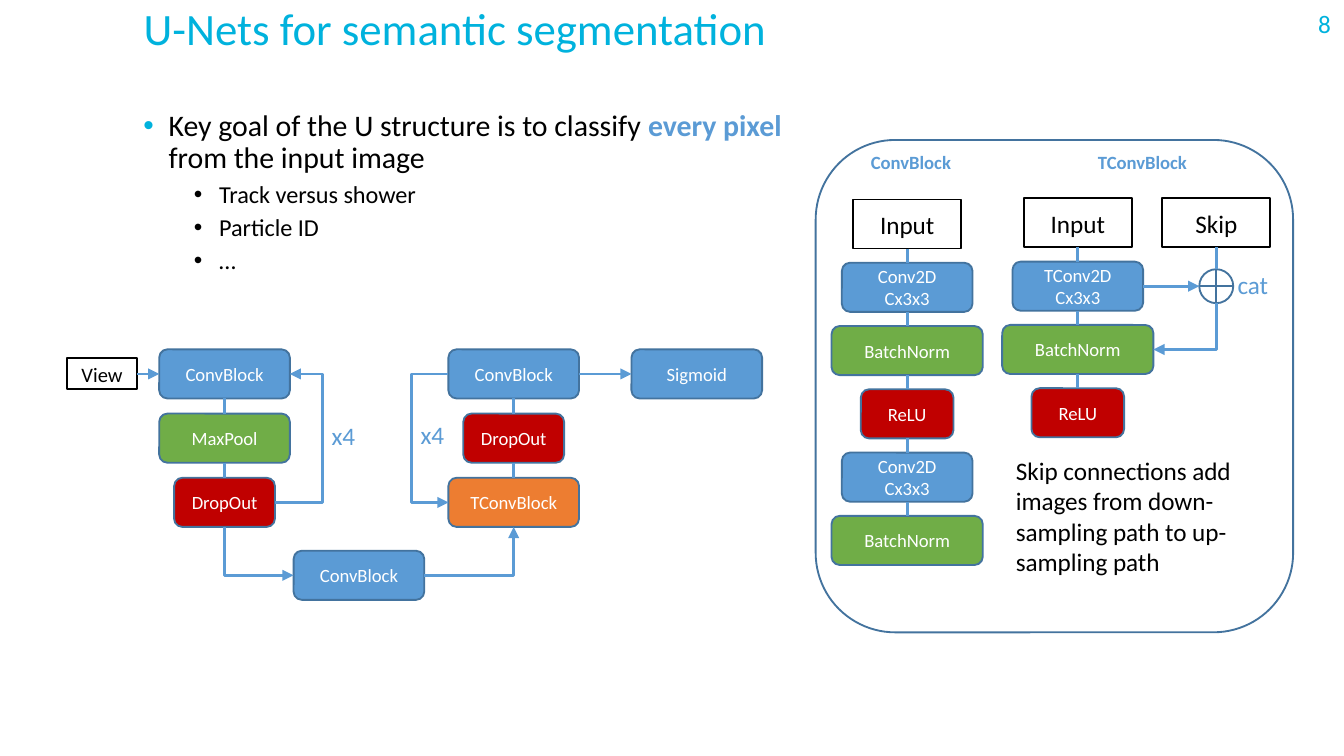
"""Build the U-Net semantic segmentation slide."""
from dataclasses import dataclass
from typing import Optional

from lxml.etree import SubElement
from pptx import Presentation
from pptx.dml.color import RGBColor
from pptx.enum.shapes import MSO_CONNECTOR, MSO_SHAPE
from pptx.enum.text import MSO_ANCHOR, MSO_AUTO_SIZE, PP_ALIGN
from pptx.oxml.ns import qn
from pptx.util import Pt

COLORS = {"title": "00B2DD", "blue": "5B9BD5", "outline": "43739E", "green": "70AD47",
          "red": "C00000", "orange": "ED7D31", "black": "000000", "white": "FFFFFF"}
FONT = "Calibri"
BLOCK_H = 26.3
TOP, LEFT, BOTTOM, RIGHT = range(4)


@dataclass
class Block:
    text: str
    width: float
    fill: Optional[str] = None
    size: float = 10
    height: float = BLOCK_H


@dataclass
class Note:
    text: str
    x: float
    y: float
    w: float
    h: float
    color: str = "blue"
    size: float = 13.5
    bold: bool = False
    align: PP_ALIGN = PP_ALIGN.LEFT
    wrap: bool = False


CONV = Block("ConvBlock", 70, "blue")
DROP = Block("DropOut", 54, "red")
CONV2D = Block("Conv2D\nCx3x3", 70, "blue")
NORM = Block("BatchNorm", 81, "green")
RELU = Block("ReLU", 49.6, "red")
INPUT = Block("Input", 57.8, size=13.5)

NOTES = [
    Note("8", 688.3, 0.7, 31.7, 23.8, "title", align=PP_ALIGN.RIGHT),
    Note("ConvBlock", 438, 77.1, 100, 19.4, size=10, bold=True, align=PP_ALIGN.CENTER),
    Note("TConvBlock", 562, 77.1, 100, 19.4, size=10, bold=True, align=PP_ALIGN.CENTER),
    Note("cat", 655.9, 140.7, 31, 23.8),
    Note("x4", 170.6, 221.8, 27.4, 23.8),
    Note("x4", 218.2, 221, 27.4, 23.8),
    Note("Skip connections add images from down-sampling path to up-sampling path",
         537.1, 240.5, 150.5, 72.7, "black", wrap=True),
]


def rgb(name: str) -> RGBColor:
    return RGBColor.from_string(COLORS[name])


def add_run(p, text: str, size: float, color: str, bold: bool = False) -> None:
    r = p.add_run()
    r.text = text
    r.font.name, r.font.size, r.font.bold = FONT, Pt(size), bold
    r.font.color.rgb = rgb(color)


def add_shape(s, kind, x: float, y: float, w: float, h: float,
              fill: Optional[str], line: str = "outline"):
    sp = s.shapes.add_shape(kind, Pt(x), Pt(y), Pt(w), Pt(h))
    sp.shadow.inherit = False
    if fill:
        sp.fill.solid()
        sp.fill.fore_color.rgb = rgb(fill)
    else:
        sp.fill.background()
    sp.line.color.rgb = rgb(line)
    sp.line.width = Pt(1)
    return sp


def add_block(s, b: Block, cx: float, y: float):
    kind = MSO_SHAPE.ROUNDED_RECTANGLE if b.fill else MSO_SHAPE.RECTANGLE
    sp = add_shape(s, kind, cx - b.width / 2, y, b.width, b.height,
                   b.fill, "outline" if b.fill else "black")
    tf = sp.text_frame
    tf.word_wrap = False
    tf.vertical_anchor = MSO_ANCHOR.MIDDLE
    for i, text in enumerate(b.text.split("\n")):
        p = tf.add_paragraph() if i else tf.paragraphs[0]
        p.alignment = PP_ALIGN.CENTER
        add_run(p, text, b.size, "white" if b.fill else "black")
    return sp


def site_index(sp, side: int) -> int:
    return side * 2 if sp.auto_shape_type == MSO_SHAPE.FLOWCHART_OR else side


def bend_at(c, geom, via: float) -> None:
    span = c.end_x - c.begin_x or Pt(0.1)
    c.width = abs(span)
    ratio = round((Pt(via) - c.begin_x) / span * 100000)
    SubElement(geom.find(qn("a:avLst")), qn("a:gd"), name="adj1", fmla=f"val {ratio}")
    if Pt(via) < min(c.begin_x, c.end_x):
        xfrm = c._element.spPr.find(qn("a:xfrm"))
        for key, value in (("rot", "10800000"), ("flipH", "1"), ("flipV", "1")):
            xfrm.set(key, value)


def link(s, a, a_side: int, b, b_side: int, arrow: str = "", elbow: str = "",
         via: float = 0) -> None:
    kind = MSO_CONNECTOR.ELBOW if elbow else MSO_CONNECTOR.STRAIGHT
    c = s.shapes.add_connector(kind, 0, 0, 0, 0)
    c.begin_connect(a, a_side)
    c.end_connect(b, b_side)
    for tag, sp, side in (("a:stCxn", a, a_side), ("a:endCxn", b, b_side)):
        c._element.find(".//" + qn(tag)).set("idx", str(site_index(sp, side)))
    c.line.color.rgb = rgb("blue")
    c.line.width = Pt(1.5)
    sp_pr = c._element.spPr
    if elbow:
        geom = sp_pr.find(qn("a:prstGeom"))
        geom.set("prst", elbow)
        if via:
            bend_at(c, geom, via)
    if arrow:
        SubElement(sp_pr.find(qn("a:ln")), qn(f"a:{arrow}End"), type="triangle")
    SubElement(sp_pr, qn("a:effectLst"))


def add_column(s, blocks: list, cx: float, top: float, step: float) -> list:
    column = [add_block(s, b, cx, top + i * step) for i, b in enumerate(blocks)]
    for upper, lower in zip(column, column[1:]):
        link(s, upper, BOTTOM, lower, TOP)
    return column


def add_note(s, n: Note) -> None:
    tf = s.shapes.add_textbox(Pt(n.x), Pt(n.y), Pt(n.w), Pt(n.h)).text_frame
    tf.word_wrap = n.wrap
    p = tf.paragraphs[0]
    p.alignment = n.align
    add_run(p, n.text, n.size, n.color, n.bold)


def add_bullet(p, left: float, color: str, before: float) -> None:
    p_pr = p._p.get_or_add_pPr()
    p_pr.set("marL", str(Pt(left)))
    p_pr.set("indent", str(-Pt(13.5)))
    SubElement(SubElement(p_pr, qn("a:buClr")), qn("a:srgbClr"), val=COLORS[color])
    SubElement(p_pr, qn("a:buFont"), typeface="Arial")
    SubElement(p_pr, qn("a:buChar"), char="•")
    p.line_spacing = 0.9
    p.space_before = Pt(before)


def add_title(s) -> None:
    sp = s.shapes.title
    sp.left, sp.top, sp.width, sp.height = Pt(69.8), Pt(0), Pt(423.4), Pt(30.2)
    tf = sp.text_frame
    tf.auto_size = MSO_AUTO_SIZE.NONE
    tf.vertical_anchor = MSO_ANCHOR.TOP
    p = tf.paragraphs[0]
    p.alignment, p.line_spacing, p.space_before = PP_ALIGN.LEFT, 0.9, Pt(0)
    add_run(p, "U-Nets for semantic segmentation", 24, "title")


def add_goals(s) -> None:
    tf = s.shapes.add_textbox(Pt(69.8), Pt(55.7), Pt(357.8), Pt(110)).text_frame
    tf.word_wrap = True
    p = tf.paragraphs[0]
    add_bullet(p, 13.5, "title", 0)
    add_run(p, "Key goal of the U structure is to classify ", 16, "black")
    add_run(p, "every pixel", 16, "blue", True)
    add_run(p, " from the input image", 16, "black")
    for text in ("Track versus shower", "Particle ID", "…"):
        p = tf.add_paragraph()
        p.level = 1
        add_bullet(p, 40.5, "black", 3.8)
        add_run(p, text, 13, "black")


def add_network(s) -> None:
    top, step = 187.2, 34.4
    down = add_column(s, [CONV, Block("MaxPool", 70, "green"), DROP], 120.3, top, step)
    up = add_column(s, [CONV, DROP, Block("TConvBlock", 70, "orange")], 275.2, top, step)
    view = add_block(s, Block("View", 37.4, size=11, height=16.6), 54.7, top + 4.85)
    sigmoid = add_block(s, Block("Sigmoid", 70, "blue"), 373.3, top)
    bottom = add_block(s, CONV, 192.3, 295.1)
    link(s, view, RIGHT, down[0], LEFT, "tail")
    link(s, up[0], RIGHT, sigmoid, LEFT, "tail")
    link(s, bottom, LEFT, down[2], BOTTOM, "head", "bentConnector2")
    link(s, bottom, RIGHT, up[2], BOTTOM, "tail", "bentConnector2")
    link(s, down[2], RIGHT, down[0], RIGHT, "tail", "bentConnector3", 173)
    link(s, up[0], LEFT, up[2], LEFT, "tail", "bentConnector3", 223)


def add_panel(s) -> None:
    add_shape(s, MSO_SHAPE.ROUNDED_RECTANGLE, 437, 75, 255.8, 263.8, None)
    step, top, skip_x, ring = 33.9, 106.3, 651.6, 18.2
    add_column(s, [INPUT, CONV2D, NORM, RELU, CONV2D, NORM], 486, 106.9, step)
    tconv = Block("TConv2D\nCx3x3", 70, "blue")
    _, conv, norm, _ = add_column(s, [INPUT, tconv, NORM, RELU], 577.4, top, step)
    skip = add_block(s, Block("Skip", 57.8, size=13.5), skip_x, top)
    cat = add_shape(s, MSO_SHAPE.FLOWCHART_OR, skip_x - ring / 2,
                    top + step + (BLOCK_H - ring) / 2, ring, ring, "white")
    link(s, skip, BOTTOM, cat, TOP)
    link(s, conv, RIGHT, cat, LEFT, "tail")
    link(s, norm, RIGHT, cat, BOTTOM, "head", "bentConnector2")


def main() -> None:
    prs = Presentation()
    prs.slide_width, prs.slide_height = Pt(720), Pt(405)
    s = prs.slides.add_slide(prs.slide_layouts[5])
    add_title(s)
    add_goals(s)
    add_panel(s)
    add_network(s)
    for note in NOTES:
        add_note(s, note)
    prs.save("out.pptx")


if __name__ == "__main__":
    main()
